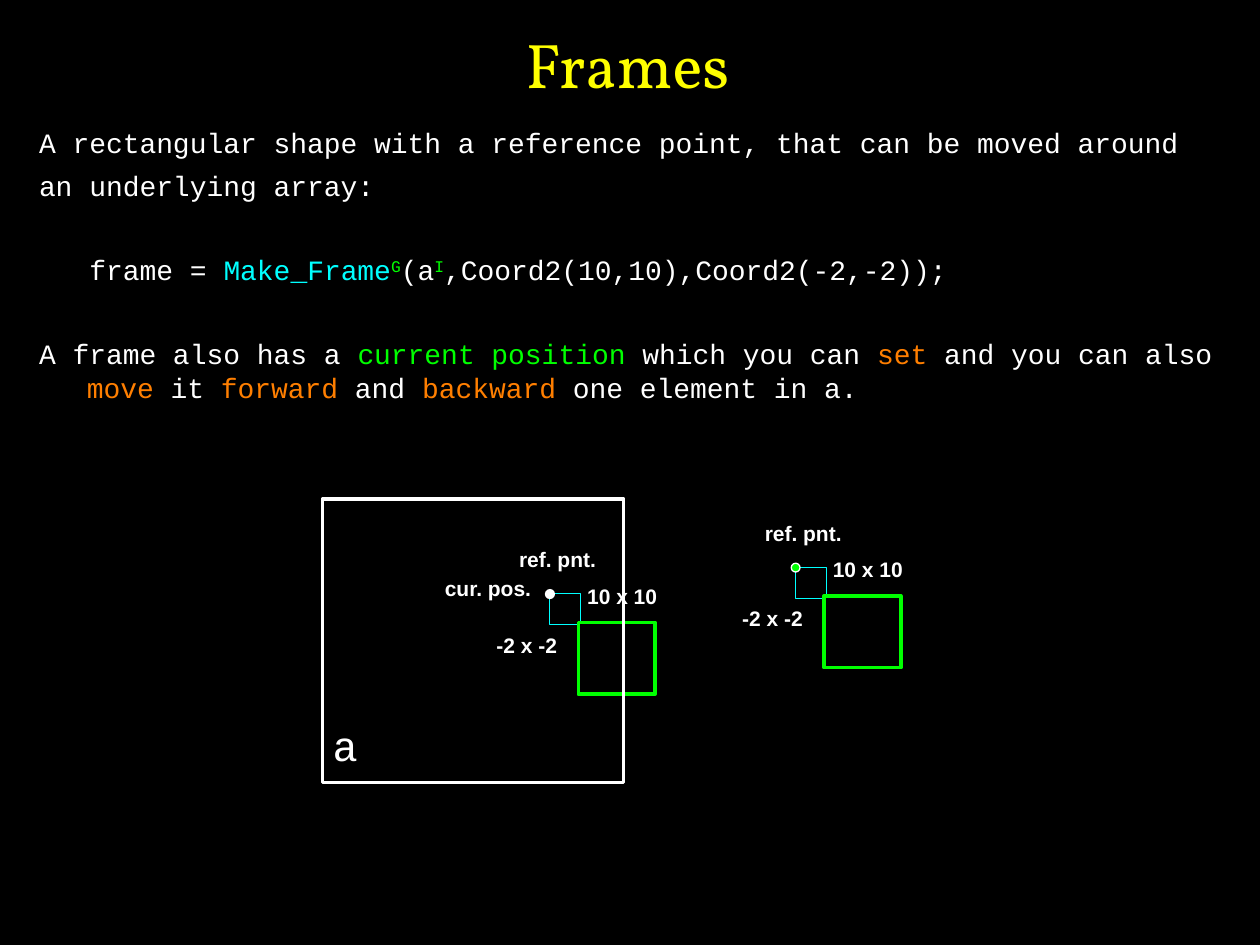
from dataclasses import dataclass

from lxml import etree
from pptx import Presentation
from pptx.dml.color import RGBColor
from pptx.enum.shapes import MSO_SHAPE
from pptx.enum.text import MSO_ANCHOR, MSO_AUTO_SIZE, PP_ALIGN
from pptx.oxml.ns import qn
from pptx.util import Inches, Pt

RECT, OVAL = MSO_SHAPE.RECTANGLE, MSO_SHAPE.OVAL
TOP, MIDDLE = MSO_ANCHOR.TOP, MSO_ANCHOR.MIDDLE
FIXED, GROW = MSO_AUTO_SIZE.NONE, MSO_AUTO_SIZE.SHAPE_TO_FIT_TEXT
LEFT, CENTER = PP_ALIGN.LEFT, PP_ALIGN.CENTER


@dataclass(frozen=True)
class Theme:
    """Colours, fonts and type sizes of the slide."""
    black: str = "000000"
    white: str = "FFFFFF"
    yellow: str = "FFFF00"
    cyan: str = "00FFFF"
    green: str = "00FF00"
    orange: str = "FF7F00"
    serif: str = "Vollkorn"
    sans: str = "Arial"
    mono: str = "Courier New"
    title: int = 36
    body: int = 16
    label: int = 12
    name: int = 24


T = Theme()
HANG = (0.42, -0.38)
CODE = (0.44, 0)
GAP = 5
BREAK = 29
BODY = [
    (HANG, GAP, [("A rectangular shape with a reference point, that can be moved around", T.white)]),
    (HANG, GAP, [("an underlying array:", T.white)]),
    (CODE, BREAK, [
        ("frame = ", T.white), ("Make_Frame", T.cyan), ("G", T.green, 30),
        ("(a", T.white), ("I", T.green, 30),
        (",Coord2(10,10),Coord2(-2,-2));", T.white)]),
    (HANG, BREAK, [
        ("A frame also has a ", T.white), ("current position", T.green),
        (" which you can ", T.white), ("set", T.orange),
        (" and you can also ", T.white), ("move", T.orange),
        (" it ", T.white), ("forward", T.orange), (" and ", T.white),
        ("backward", T.orange), (" one element in a.", T.white)]),
]


def assign(item, values):
    """Set each attribute of an item from a dict."""
    for key, value in values.items():
        setattr(item, key, value)


def place(item, box):
    """Move and size an item, in inches."""
    assign(item, dict(zip(("left", "top", "width", "height"), map(Inches, box))))


def setup(frame, pads, **values):
    """Set the insets and layout of a text frame."""
    keys = ("margin_left", "margin_top", "margin_right", "margin_bottom")
    assign(frame, dict(zip(keys, map(Inches, pads))))
    assign(frame, values)


def indent(para, left, first):
    """Set the paragraph indents and switch its bullet off."""
    props = para._p.get_or_add_pPr()
    props.set("marL", str(Inches(left)))
    props.set("indent", str(Inches(first)))
    etree.SubElement(props, qn("a:buNone"))


def write(para, text, font, size, color, bold=False, base=0):
    """Add a run, raised by a percentage if base is given."""
    run = para.add_run()
    run.text = text
    assign(run.font, {"name": font, "size": Pt(size), "bold": bold})
    run.font.color.rgb = RGBColor.from_string(color)
    if base:
        run.font._element.set("baseline", str(base * 1000))


def head(shape):
    """Fill the title placeholder."""
    place(shape, (0.75, 0, 8.5, 1))
    frame = shape.text_frame
    setup(frame, (0.06, 0.06, 0.14, 0.06), word_wrap=True,
          auto_size=FIXED, vertical_anchor=MIDDLE)
    para = frame.paragraphs[0]
    para.alignment = CENTER
    indent(para, 0.04, 0)
    write(para, "Frames", T.serif, T.title, T.yellow)


def prose(shape):
    """Fill the body placeholder."""
    place(shape, (0.21, 0.94, 9.58, 2.81))
    frame = shape.text_frame
    setup(frame, (0.06, 0.06, 0.14, 0.06), word_wrap=True,
          auto_size=FIXED, vertical_anchor=TOP)
    for i, (margins, gap, runs) in enumerate(BODY):
        para = frame.add_paragraph() if i else frame.paragraphs[0]
        assign(para, {"alignment": LEFT, "space_before": Pt(gap)})
        indent(para, *margins)
        for text, color, *base in runs:
            write(para, text, T.mono, T.body, color, base=base[0] if base else 0)


def draw(shapes, kind, box, line, width, fill=None):
    """Add an outlined shape, hollow unless a fill is given."""
    shape = shapes.add_shape(kind, *map(Inches, box))
    shape.shadow.inherit = False
    if fill:
        shape.fill.solid()
        shape.fill.fore_color.rgb = RGBColor.from_string(fill)
    else:
        shape.fill.background()
    shape.line.color.rgb = RGBColor.from_string(line)
    shape.line.width = Pt(width)


def label(shapes, text, box, font=T.sans, size=T.label, bold=True):
    """Add a one-line text box."""
    frame = shapes.add_textbox(*map(Inches, box)).text_frame
    setup(frame, (0, 0, 0.04, 0), word_wrap=False, auto_size=GROW)
    para = frame.paragraphs[0]
    indent(para, 0.04, 0)
    write(para, text, font, size, T.white, bold)


def window(slide, x, y, dot):
    """Draw a frame whose reference point is at x, y."""
    shapes = slide.shapes.add_group_shape().shapes
    draw(shapes, RECT, (x, y, 0.25, 0.25), T.cyan, 0.5, T.black)
    draw(shapes, RECT, (x + 0.23, y + 0.23, 0.61, 0.57), T.green, 2, T.black)
    draw(shapes, OVAL, (x - 0.03, y - 0.03, 0.07, 0.07), T.white, 0.75, dot)
    label(shapes, "10 x 10", (x + 0.26, y - 0.08, 0.64, 0.2))
    label(shapes, "ref. pnt.", (x - 0.28, y - 0.37, 0.7, 0.2))
    label(shapes, "-2 x -2", (x - 0.46, y + 0.31, 0.57, 0.2))


def array(slide):
    """Draw the underlying array with its name and current position."""
    shapes = slide.shapes.add_group_shape().shapes
    label(shapes, "cur. pos.", (3.49, 4.57, 0.78, 0.2))
    draw(shapes, RECT, (2.56, 3.96, 2.39, 2.25), T.white, 2)
    label(shapes, "a", (2.6, 5.71, 0.28, 0.4), T.mono, T.name, False)


def main():
    """Build and save the slide."""
    deck = Presentation()
    assign(deck, {"slide_width": Inches(10), "slide_height": Inches(7.5)})
    slide = deck.slides.add_slide(deck.slide_layouts[1])
    slide.background.fill.solid()
    slide.background.fill.fore_color.rgb = RGBColor.from_string(T.black)
    head(slide.shapes.title)
    prose(slide.placeholders[1])
    window(slide, 6.31, 4.5, T.green)
    window(slide, 4.36, 4.71, T.white)
    array(slide)
    deck.save("out.pptx")


if __name__ == "__main__":
    main()
